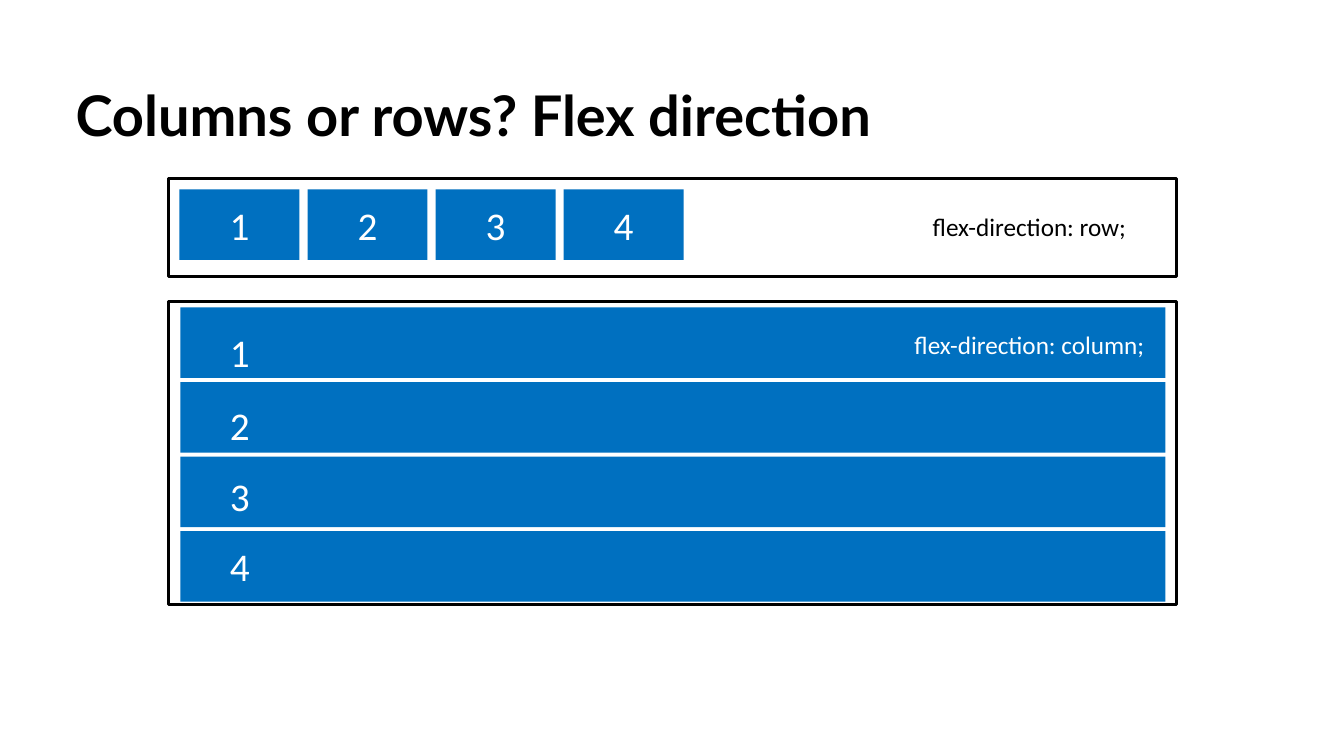
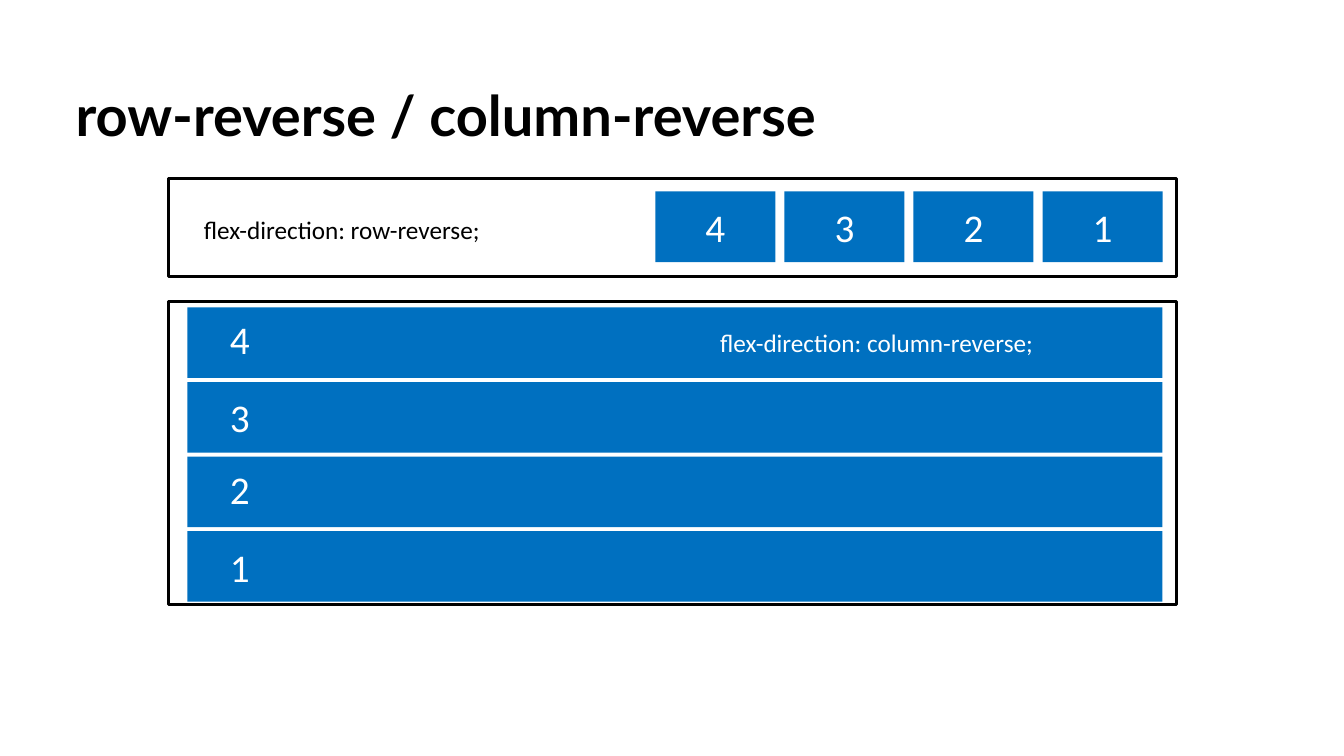
from dataclasses import dataclass

from pptx import Presentation
from pptx.dml.color import RGBColor
from pptx.enum.shapes import MSO_SHAPE
from pptx.enum.text import MSO_ANCHOR, PP_ALIGN
from pptx.util import Inches, Pt


@dataclass(frozen=True)
class Theme:
    black: RGBColor = RGBColor(0x00, 0x00, 0x00)
    white: RGBColor = RGBColor(0xFF, 0xFF, 0xFF)
    blue: RGBColor = RGBColor(0x00, 0x70, 0xC0)
    title_font: str = "Lato"
    body_font: str = "Calibri"
    title_size: int = 40
    number_size: int = 28
    caption_size: int = 18
    frame_line: float = 2.25


THEME = Theme()

# Content: captions carry their place; drops shift each bar's number down
SLIDES = [
    {
        "title": "Columns or rows? Flex direction",
        "numbers": "1234",
        "row": {"left": 1.78, "top": 1.88, "pitch": 1.27},
        "row_caption": ("flex-direction: row;", 9.14, 2.05, 2.14),
        "column": {"left": 1.79, "width": 9.77, "drops": [0.16, 0.14, 0.11, 0.06]},
        "column_caption": ("flex-direction: column;", 8.95, 3.22, 2.52),
    },
    {
        "title": "row-reverse / column-reverse",
        "numbers": "4321",
        "row": {"left": 6.5, "top": 1.9, "pitch": 1.28},
        "row_caption": ("flex-direction: row-reverse;", 1.86, 2.08, 3.06),
        "column": {"left": 1.86, "width": 9.67, "drops": [0.03, 0.06, 0.04, 0.07]},
        "column_caption": ("flex-direction: column-reverse;", 6.98, 3.2, 3.43),
    },
]

# Shared geometry, in inches
TITLE_AREA = (0.75, 0.75, 11.83, 0.8)
FRAMES = [(1.67, 1.77, 10, 0.97), (1.67, 2.99, 10, 3.01)]
ITEM_WIDTH, ITEM_HEIGHT = 1.19, 0.7
COLUMN_TOP, COLUMN_PITCH = 3.05, 0.74
NUMBER_LEFT = 2.28
INSET = 0.05


def write(box, text, size, color, font=THEME.body_font, bold=False,
          align=PP_ALIGN.CENTER):
    para = box.text_frame.paragraphs[0]
    para.alignment = align
    span = para.add_run()
    span.text = text
    span.font.name = font
    span.font.size = Pt(size)
    span.font.bold = bold
    span.font.color.rgb = color


def add_box(page, area):
    box = page.shapes.add_shape(MSO_SHAPE.RECTANGLE, *map(Inches, area))
    box.shadow.inherit = False
    return box


def add_frame(page, area):
    box = add_box(page, area)
    box.fill.background()
    box.line.color.rgb = THEME.black
    box.line.width = Pt(THEME.frame_line)


def add_item(page, area, number, align=PP_ALIGN.CENTER):
    box = add_box(page, area)
    box.fill.solid()
    box.fill.fore_color.rgb = THEME.blue
    box.line.fill.background()
    box.text_frame.vertical_anchor = MSO_ANCHOR.MIDDLE
    write(box, number, THEME.number_size, THEME.white, align=align)
    return box


def add_title(page, title):
    box = page.shapes.add_textbox(*map(Inches, TITLE_AREA))
    box.text_frame.word_wrap = True
    box.text_frame.margin_left = 0
    write(box, title, THEME.title_size, THEME.black, THEME.title_font, True,
          PP_ALIGN.LEFT)


def add_caption(page, caption, color):
    text, left, top, width = caption
    box = page.shapes.add_textbox(*map(Inches, (left, top, width, 0.4)))
    box.text_frame.word_wrap = False
    write(box, text, THEME.caption_size, color)


def add_row(page, row, numbers):
    for index, number in enumerate(numbers):
        left = row["left"] + index * row["pitch"]
        add_item(page, (left, row["top"], ITEM_WIDTH, ITEM_HEIGHT), number)


def add_column(page, column, numbers):
    for index, (number, drop) in enumerate(zip(numbers, column["drops"])):
        top = COLUMN_TOP + index * COLUMN_PITCH
        area = (column["left"], top, column["width"], ITEM_HEIGHT)
        frame = add_item(page, area, number, PP_ALIGN.LEFT).text_frame
        frame.vertical_anchor = MSO_ANCHOR.TOP
        frame.margin_left = Inches(NUMBER_LEFT - column["left"])
        frame.margin_top = Inches(INSET + drop)
        frame.margin_bottom = 0


def main():
    deck = Presentation()
    deck.slide_width, deck.slide_height = Inches(13.33), Inches(7.5)
    for content in SLIDES:
        page = deck.slides.add_slide(deck.slide_layouts[6])
        add_title(page, content["title"])
        # Flex containers
        for area in FRAMES:
            add_frame(page, area)
        # Flex items
        add_row(page, content["row"], content["numbers"])
        add_column(page, content["column"], content["numbers"])
        # Property captions
        add_caption(page, content["row_caption"], THEME.black)
        add_caption(page, content["column_caption"], THEME.white)
    deck.save("out.pptx")


if __name__ == "__main__":
    main()
